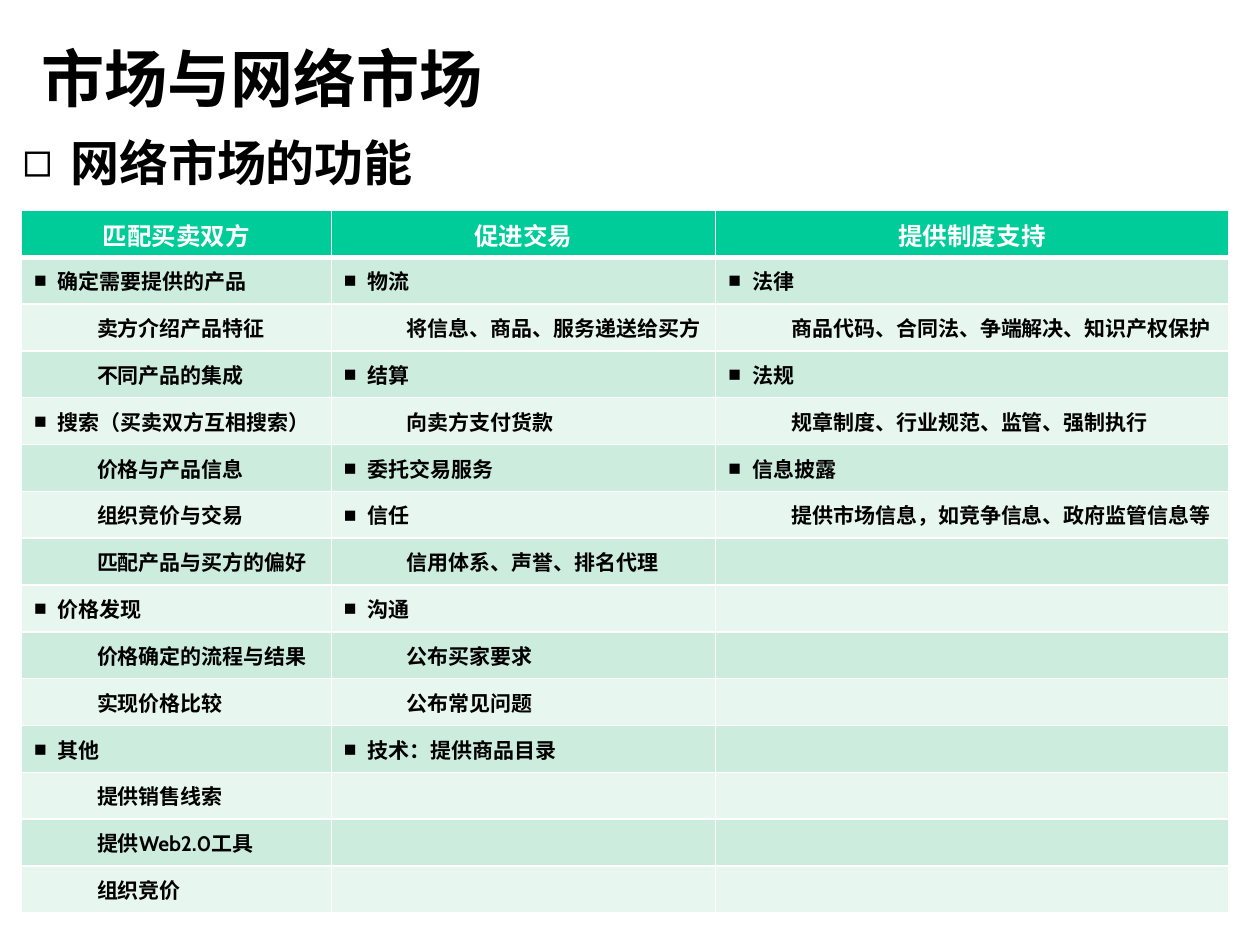
from dataclasses import dataclass

from lxml import etree
from pptx import Presentation
from pptx.dml.color import RGBColor
from pptx.enum.text import MSO_ANCHOR, PP_ALIGN
from pptx.oxml.ns import qn
from pptx.util import Inches, Pt

MIDDLE = MSO_ANCHOR.MIDDLE
LEFT, CENTER = PP_ALIGN.LEFT, PP_ALIGN.CENTER


@dataclass(frozen=True)
class Theme:
    ink: str = "000000"
    white: str = "FFFFFF"
    head: str = "00CC99"
    bands: tuple = ("CCECDE", "E7F6EF")
    main: str = "Arial"
    cell: str = "Cabin"
    title: int = 36
    lead: int = 28
    label: int = 14
    item: int = 12


theme = Theme()


def add_xml(parent, tag, **attrs):
    return etree.SubElement(parent, qn(tag), attrs)


def write(frame, text, size, font=theme.cell, color=theme.ink, align=LEFT,
          level=0, left=0, hang=0, bullet=None, before=0):
    para = frame.paragraphs[0]
    para.alignment, para.level, para.space_before = align, level, Pt(before)
    props = para._p.get_or_add_pPr()
    props.set("marL", str(Inches(left)))
    props.set("indent", str(Inches(-hang)))
    if bullet:
        add_xml(props, "a:buFont", typeface=theme.main)
        add_xml(props, "a:buChar", char=bullet)
    else:
        add_xml(props, "a:buNone")
    if not text:
        add_xml(para._p, "a:endParaRPr", sz=str(size * 100))
        return
    run = para.add_run()
    run.text = text
    run.font.size, run.font.name, run.font.bold = Pt(size), font, True
    run.font.color.rgb = RGBColor.from_string(color)


deck = Presentation()
deck.slide_width, deck.slide_height = Inches(10), Inches(7.5)
slide = deck.slides.add_slide(deck.slide_layouts[5])

# Title
title = slide.shapes.title
title.left, title.top = Inches(0.23), Inches(0.15)
title.width, title.height = Inches(8.03), Inches(0.93)
title.text_frame.vertical_anchor = MIDDLE
write(title.text_frame, "市场与网络市场", theme.title, font=theme.main)

# Lead line
lead = slide.shapes.add_textbox(Inches(0.08), Inches(1), Inches(9.83), Inches(0.65))
lead.text_frame.word_wrap = True
write(lead.text_frame, "网络市场的功能", theme.lead, font=theme.main,
      left=0.38, hang=0.38, bullet="◻", before=theme.lead * 0.2)

# Columns of functions: "*" marks a bulleted group, the rest are details
groups = {
    "匹配买卖双方": [
        "*确定需要提供的产品", "卖方介绍产品特征", "不同产品的集成",
        "*搜索（买卖双方互相搜索）", "价格与产品信息", "组织竞价与交易",
        "匹配产品与买方的偏好", "*价格发现", "价格确定的流程与结果",
        "实现价格比较", "*其他", "提供销售线索", "提供Web2.0工具", "组织竞价"],
    "促进交易": [
        "*物流", "将信息、商品、服务递送给买方", "*结算", "向卖方支付货款",
        "*委托交易服务", "*信任", "信用体系、声誉、排名代理", "*沟通",
        "公布买家要求", "公布常见问题", "*技术：提供商品目录"],
    "提供制度支持": [
        "*法律", "商品代码、合同法、争端解决、知识产权保护", "*法规",
        "规章制度、行业规范、监管、强制执行", "*信息披露",
        "提供市场信息，如竞争信息、政府监管信息等"],
}
widths = (2.46, 3.05, 4.07)
count = 1 + max(len(items) for items in groups.values())

# Table
grid = slide.shapes.add_table(count, len(groups), Inches(0.17), Inches(1.67),
                              Inches(sum(widths)), Inches(5.58)).table
for col, (head, items) in enumerate(groups.items()):
    grid.columns[col].width = Inches(widths[col])
    for row in range(count):
        cell = grid.cell(row, col)
        cell.vertical_anchor = MIDDLE
        props = cell._tc.get_or_add_tcPr()
        for side in "LRTB":
            wide = 3 if (row, side) in ((0, "B"), (1, "T")) else 1
            line = add_xml(props, f"a:ln{side}", w=str(Pt(wide)))
            add_xml(add_xml(line, "a:solidFill"), "a:srgbClr", val=theme.white)
        fill = theme.bands[(row - 1) % 2] if row else theme.head
        cell.fill.solid()
        cell.fill.fore_color.rgb = RGBColor.from_string(fill)

        text = items[row - 1] if 0 < row <= len(items) else ""
        if row == 0:
            write(cell.text_frame, head, theme.label, color=theme.white, align=CENTER)
        elif text.startswith("*"):
            write(cell.text_frame, text[1:], theme.item, left=0.19, hang=0.19, bullet="■")
        elif text:
            write(cell.text_frame, text, theme.item, level=1, left=0.5)
        else:
            write(cell.text_frame, text, theme.item)

deck.save("out.pptx")
